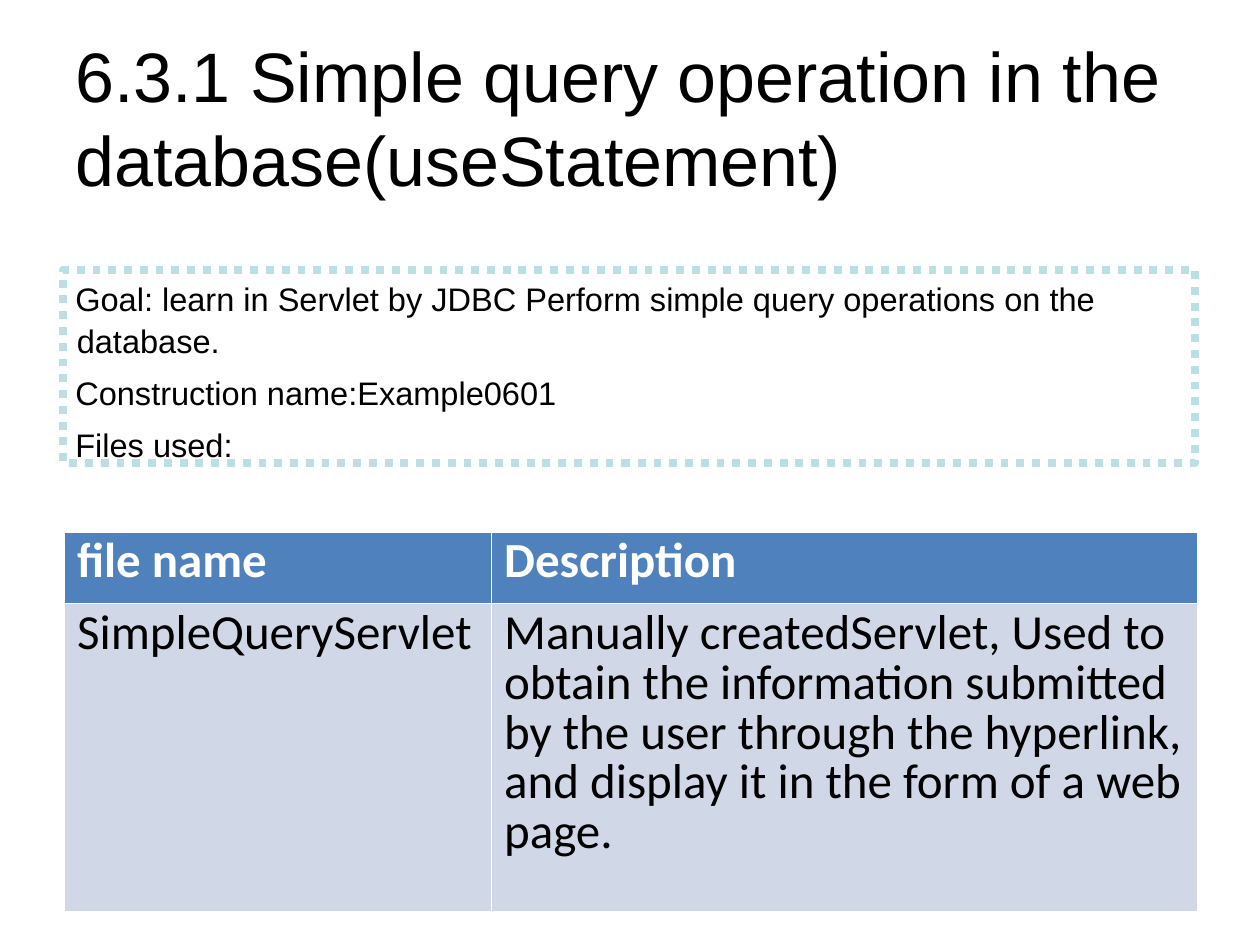
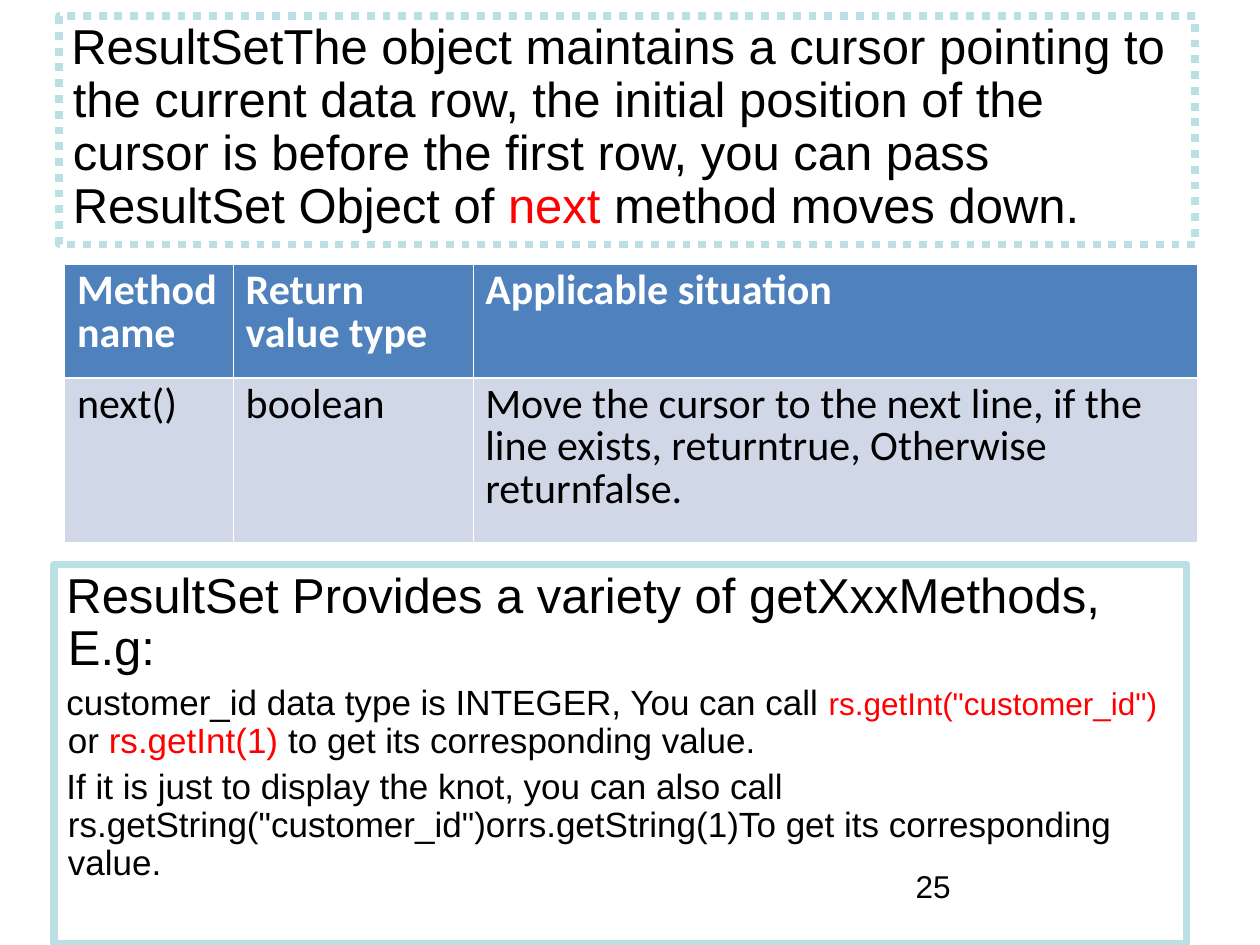
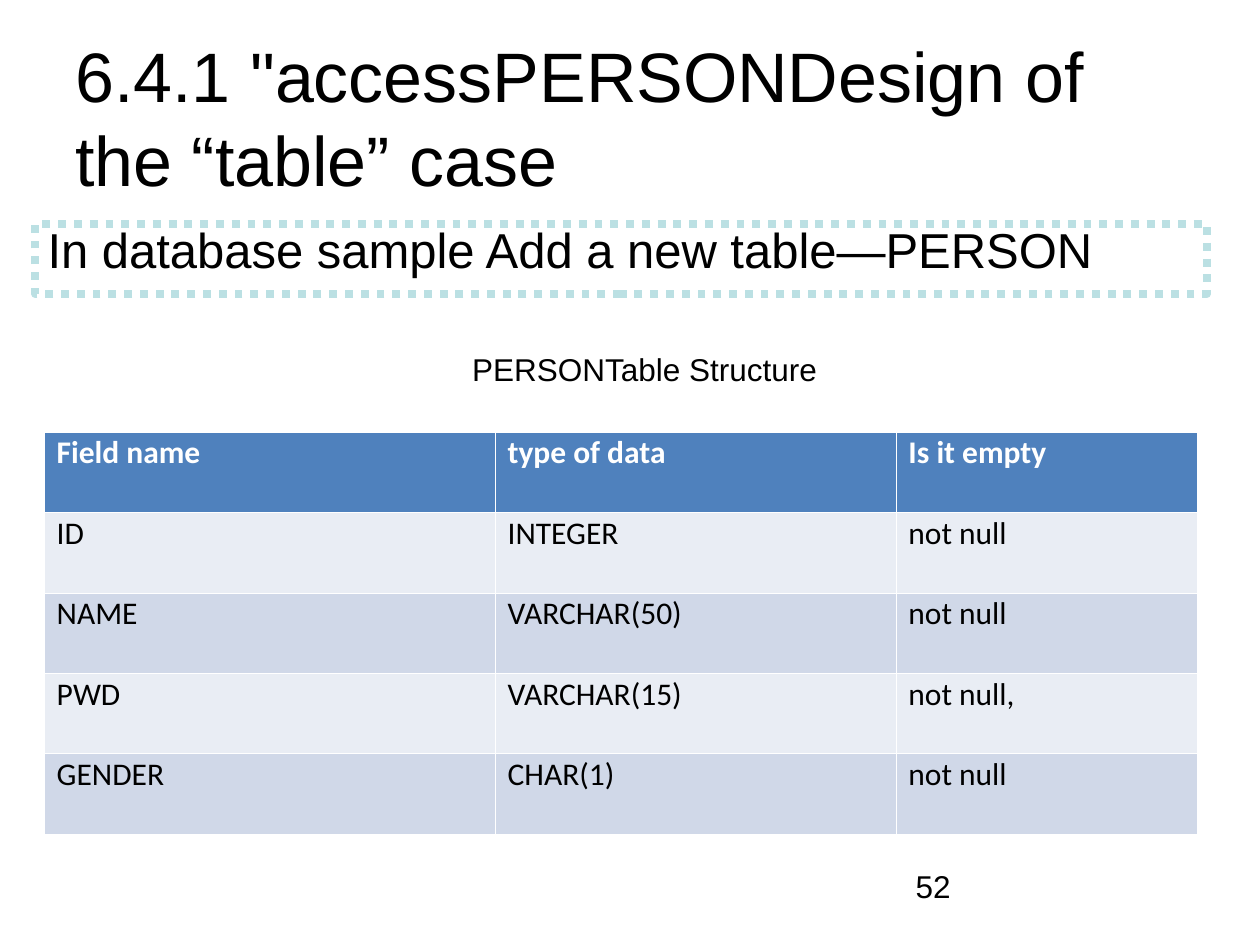
"""Build three slides on database queries with a servlet."""
from pptx import Presentation
from pptx.dml.color import RGBColor
from pptx.enum.dml import MSO_LINE
from pptx.enum.shapes import MSO_SHAPE
from pptx.enum.text import MSO_ANCHOR, PP_ALIGN
from pptx.oxml import parse_xml
from pptx.oxml.ns import nsdecls
from pptx.util import Cm, Pt

RECT = MSO_SHAPE.RECTANGLE
DOTS, SOLID = MSO_LINE.ROUND_DOT, MSO_LINE.SOLID
TOP, MIDDLE = MSO_ANCHOR.TOP, MSO_ANCHOR.MIDDLE
LEFT = PP_ALIGN.LEFT

BLACK = RGBColor(0x00, 0x00, 0x00)
WHITE = RGBColor(0xFF, 0xFF, 0xFF)
RED = RGBColor(0xFF, 0x00, 0x00)
AQUA = RGBColor(0xBB, 0xE0, 0xE3)
BLUE = RGBColor(0x4F, 0x81, 0xBD)
PALE = RGBColor(0xE9, 0xED, 0xF4)
MIST = RGBColor(0xD0, 0xD8, 0xE8)

TITLE = (1.27, 0.76, 22.86, 3.18)
NUMBER = (18.21, 17.35, 5.92, 1.32)
HANG = Cm(0.03)


def add_text(slide, place, paras, edge=None, anchor=TOP, wrap=True):
    spot = [Cm(n) for n in place]
    if edge is None:
        shape = slide.shapes.add_textbox(*spot)
    else:
        shape = slide.shapes.add_shape(RECT, *spot)
        shape.shadow.inherit = False
        shape.fill.background()
        shape.line.color.rgb = AQUA
        shape.line.width = Pt(4.5)
        shape.line.dash_style = edge
    frame = shape.text_frame
    frame.word_wrap = wrap
    frame.vertical_anchor = anchor
    for i, (form, runs) in enumerate(paras):
        para = frame.paragraphs[0] if i == 0 else frame.add_paragraph()
        para.alignment = LEFT
        for key, value in form.items():
            setattr(para, key, value)
        if edge is not None:
            props = para._p.get_or_add_pPr()
            props.set("marL", str(HANG))
            props.set("indent", str(-HANG))
        for text, size, color in runs:
            run = para.add_run()
            run.text = text
            for key, value in {"name": "Arial", "size": Pt(size)}.items():
                setattr(run.font, key, value)
            run.font.color.rgb = color


def add_grid(slide, left, top, widths, heights, size, rows, fills):
    grid = slide.shapes.add_table(
        len(rows), len(widths), Cm(left), Cm(top), Cm(sum(widths)), Cm(sum(heights))
    ).table
    for col, width in zip(grid.columns, widths):
        col.width = Cm(width)
    for r, texts in enumerate(rows):
        grid.rows[r].height = Cm(heights[r])
        head = r == 0
        thick = {"T": 0.75 if r == 1 else 0.23, "B": 0.75 if head else 0.23}
        for c, text in enumerate(texts):
            cell = grid.cell(r, c)
            props = cell._tc.get_or_add_tcPr()
            for side in "LRTB":
                wide = Pt(thick.get(side, 0.23))
                props.append(parse_xml(
                    f'<a:ln{side} {nsdecls("a")} w="{wide}"><a:solidFill>'
                    f'<a:srgbClr val="{WHITE}"/></a:solidFill></a:ln{side}>'
                ))
            cell.fill.solid()
            cell.fill.fore_color.rgb = BLUE if head else fills[(r - 1) % len(fills)]
            para = cell.text_frame.paragraphs[0]
            para.line_spacing = 0.83
            run = para.add_run()
            run.text = text
            for key, value in {"name": "Calibri", "size": Pt(size), "bold": head}.items():
                setattr(run.font, key, value)
            run.font.color.rgb = WHITE if head else BLACK


deck = Presentation()
deck.slide_width, deck.slide_height = Cm(25.4), Cm(19.05)
query, cursor, person = [deck.slides.add_slide(deck.slide_layouts[6]) for _ in range(3)]

for slide, number in ((cursor, "25"), (person, "52")):
    add_text(slide, NUMBER, [({}, [(number, 18, BLACK)])])

for slide, title in (
    (query, "6.3.1 Simple query operation in the database(useStatement)"),
    (person, '6.4.1 "accessPERSONDesign of the “table” case'),
):
    add_text(slide, TITLE, [({}, [(title, 40, BLACK)])], anchor=MIDDLE)

goals = [
    "Goal: learn in Servlet by JDBC Perform simple query operations on the database.",
    "Construction name:Example0601",
    "Files used:",
]
add_text(query, (1.27, 5.44, 22.83, 3.89), [
    ({"line_spacing": 1.07, "space_before": Pt(6 if i else 0)}, [(goal, 18.6, BLACK)])
    for i, goal in enumerate(goals)
], DOTS)
add_grid(query, 1.3, 10.72, (8.61, 14.22), (1.45, 6.2), 28, [
    ("file name", "Description"),
    ("SimpleQueryServlet",
     "Manually createdServlet, Used to obtain the information submitted by the user "
     "through the hyperlink, and display it in the form of a web page."),
], [MIST])

tight = {"line_spacing": 0.9}
spaced = {"line_spacing": 0.9, "space_before": Pt(5)}
add_text(cursor, (1.19, 0.33, 22.91, 4.6), [(tight, [
    ("ResultSetThe object maintains a cursor pointing to the current data row, "
     "the initial position of the cursor is before the first row, "
     "you can pass ResultSet Object of ", 28, BLACK),
    ("next ", 28, RED),
    ("method moves down.", 28, BLACK),
])], DOTS)
add_grid(cursor, 1.3, 5.33, (3.4, 4.83, 14.61), (2.29, 3.3), 24, [
    ("Method name", "Return value type", "Applicable situation"),
    ("next()", "boolean",
     "Move the cursor to the next line, if the line exists, returntrue, "
     "Otherwise returnfalse."),
], [MIST])
add_text(cursor, (1.09, 11.38, 22.83, 7.65), [
    (tight, [("ResultSet Provides a variety of getXxxMethods, E.g:", 28, BLACK)]),
    (spaced, [
        ("customer_id data type is INTEGER, You can call ", 20, BLACK),
        ('rs.getInt("customer_id") ', 18, RED),
        ("or ", 20, BLACK),
        ("rs.getInt(1) ", 20, RED),
        ("to get its corresponding value.", 20, BLACK),
    ]),
    (spaced, [
        ("If it is just to display the knot, you can also call "
         'rs.getString("customer_id")orrs.getString(1)To get its corresponding value.',
         20, BLACK),
    ]),
], SOLID)

add_text(person, (0.71, 4.52, 23.62, 1.4), [
    ({"line_spacing": 0.8}, [("In database sample Add a new table—PERSON", 28, BLACK)])
], DOTS)
add_grid(person, 0.89, 8.71, (9.09, 8.08, 6.07), [1.62] * 5, 18, [
    ("Field name", "type of data", "Is it empty"),
    ("ID", "INTEGER", "not null"),
    ("NAME", "VARCHAR(50)", "not null"),
    ("PWD", "VARCHAR(15)", "not null,"),
    ("GENDER", "CHAR(1)", "not null"),
], [PALE, MIST])
add_text(person, (9.27, 6.93, 7.52, 1.02),
         [({}, [("PERSONTable Structure", 18, BLACK)])], wrap=False)

deck.save("out.pptx")
